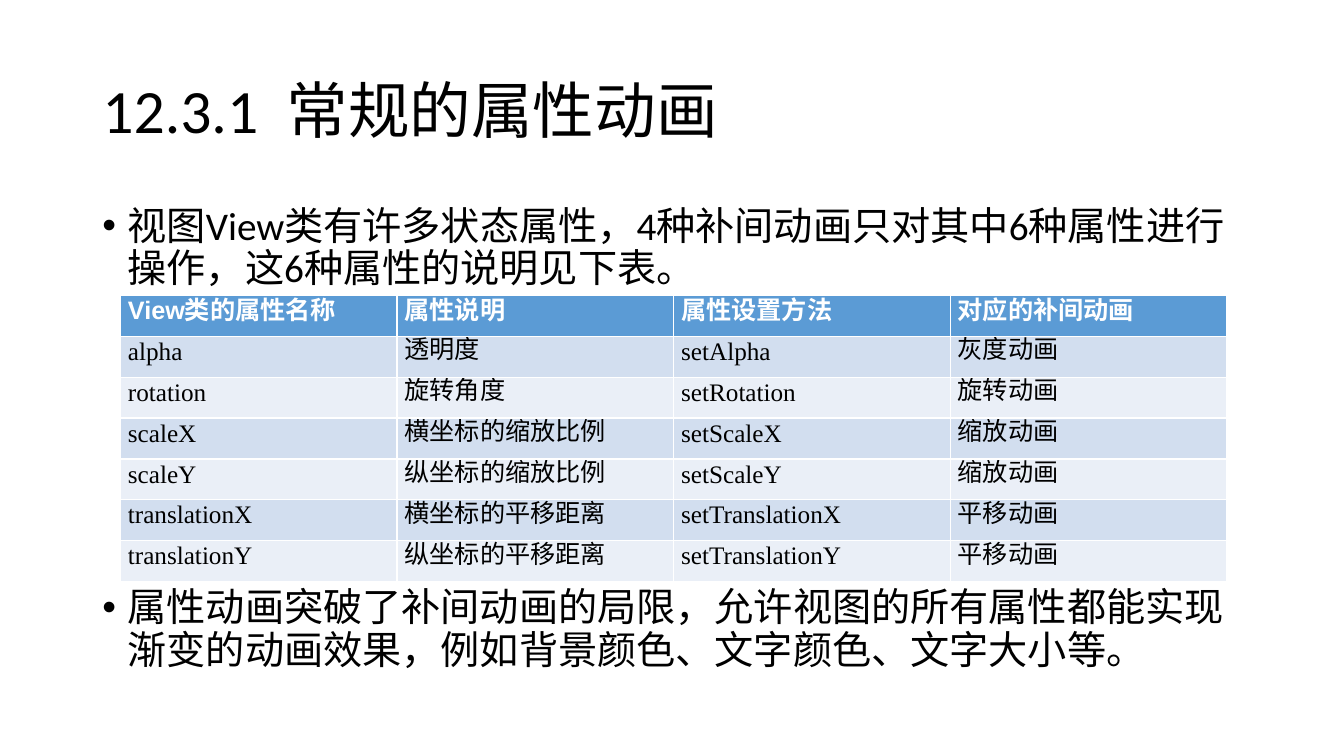
import pptx
import pptx.dml.color
import pptx.enum.text
import pptx.util

Pt = pptx.util.Pt
RGBColor = pptx.dml.color.RGBColor
MSO_ANCHOR = pptx.enum.text.MSO_ANCHOR
PP_ALIGN = pptx.enum.text.PP_ALIGN

BLACK = RGBColor(0x00, 0x00, 0x00)
WHITE = RGBColor(0xFF, 0xFF, 0xFF)
HEADER_BLUE = RGBColor(0x5B, 0x9B, 0xD5)
BAND_DARK = RGBColor(0xD2, 0xDE, 0xEF)
BAND_LIGHT = RGBColor(0xEA, 0xEF, 0xF7)

HEADINGS = ["View类的属性名称", "属性说明", "属性设置方法", "对应的补间动画"]
PROPERTIES = [
    ["alpha", "透明度", "setAlpha", "灰度动画"],
    ["rotation", "旋转角度", "setRotation", "旋转动画"],
    ["scaleX", "横坐标的缩放比例", "setScaleX", "缩放动画"],
    ["scaleY", "纵坐标的缩放比例", "setScaleY", "缩放动画"],
    ["translationX", "横坐标的平移距离", "setTranslationX", "平移动画"],
    ["translationY", "纵坐标的平移距离", "setTranslationY", "平移动画"],
]
# Each point with the space above it; the second leaves room for the table
POINTS = [
    ("视图View类有许多状态属性，4种补间动画只对其中6种属性进行操作，"
     "这6种属性的说明见下表。", 10),
    ("属性动画突破了补间动画的局限，允许视图的所有属性都能实现渐变的动画效果，"
     "例如背景颜色、文字颜色、文字大小等。", 212),
]


class SlideWriter:
    """Holds the text style and the current slide."""

    text_font = "Calibri"
    header_font = "Arial"
    cell_font = "Times New Roman"

    def __init__(self, slide):
        self.slide = slide

    def add_run(self, paragraph, text, font, size, color, bold=False):
        run = paragraph.add_run()
        run.text = text
        run.font.name = font
        run.font.size = Pt(size)
        run.font.color.rgb = color
        run.font.bold = bold

    def place(self, holder, left, top, width, height, anchor):
        holder.left, holder.top = Pt(left), Pt(top)
        holder.width, holder.height = Pt(width), Pt(height)
        frame = holder.text_frame
        frame.word_wrap = True
        frame.auto_size = pptx.enum.text.MSO_AUTO_SIZE.NONE
        frame.vertical_anchor = anchor
        return frame

    def title(self, text, *box):
        frame = self.place(self.slide.shapes.title, *box, MSO_ANCHOR.MIDDLE)
        heading = frame.paragraphs[0]
        heading.alignment = PP_ALIGN.LEFT
        heading.line_spacing = 0.9
        self.add_run(heading, text, self.text_font, 44, BLACK)

    def bullets(self, points, *box):
        frame = self.place(self.slide.placeholders[1], *box, MSO_ANCHOR.TOP)
        for index, (text, space_above) in enumerate(points):
            point = frame.add_paragraph() if index else frame.paragraphs[0]
            point.line_spacing = 0.9
            point.space_before = Pt(space_above)
            indents = point._p.get_or_add_pPr()
            indents.set("marL", str(Pt(18)))
            indents.set("indent", str(Pt(-18)))
            self.add_run(point, text, self.text_font, 28, BLACK)

    def cell(self, cell, text, fill, is_header):
        cell.fill.solid()
        cell.fill.fore_color.rgb = fill
        cell.vertical_anchor = MSO_ANCHOR.MIDDLE
        cell.margin_left = cell.margin_right = Pt(5.4)
        cell.margin_top = cell.margin_bottom = 0
        line = cell.text_frame.paragraphs[0]
        if is_header:
            line.alignment = PP_ALIGN.JUSTIFY
            line.line_spacing = Pt(15.6)
            self.add_run(line, text, self.header_font, 18, WHITE, True)
        else:
            line.line_spacing = Pt(13)
            self.add_run(line, text, self.cell_font, 18, BLACK)

    def table(self, rows, left, top, width, height):
        table = self.slide.shapes.add_table(
            len(rows), len(rows[0]), Pt(left), Pt(top), Pt(width), Pt(height)
        ).table
        for r, row in enumerate(rows):
            fill = (BAND_DARK if r % 2 else BAND_LIGHT) if r else HEADER_BLUE
            for c, text in enumerate(row):
                self.cell(table.cell(r, c), text, fill, r == 0)


def main():
    presentation = pptx.Presentation()
    presentation.slide_width = Pt(960)
    presentation.slide_height = Pt(540)
    layout = presentation.slide_layouts[1]
    writer = SlideWriter(presentation.slides.add_slide(layout))

    # Heading and explanation
    writer.title("12.3.1  常规的属性动画", 66, 28.75, 828, 104.4)
    writer.bullets(POINTS, 66, 143.75, 828, 342.6)

    # View properties with their setters and tween animations
    writer.table([HEADINGS] + PROPERTIES, 86, 211, 790.4, 204.4)

    presentation.save("out.pptx")


if __name__ == "__main__":
    main()
